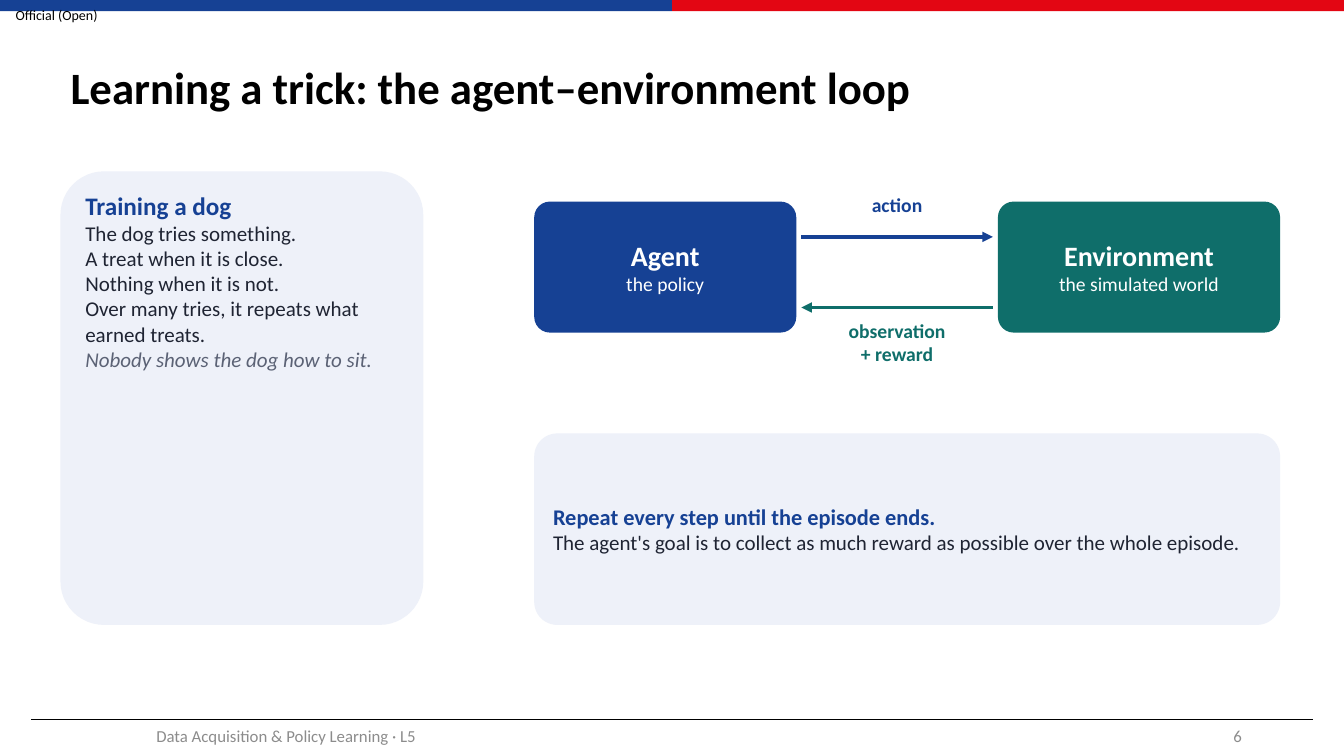
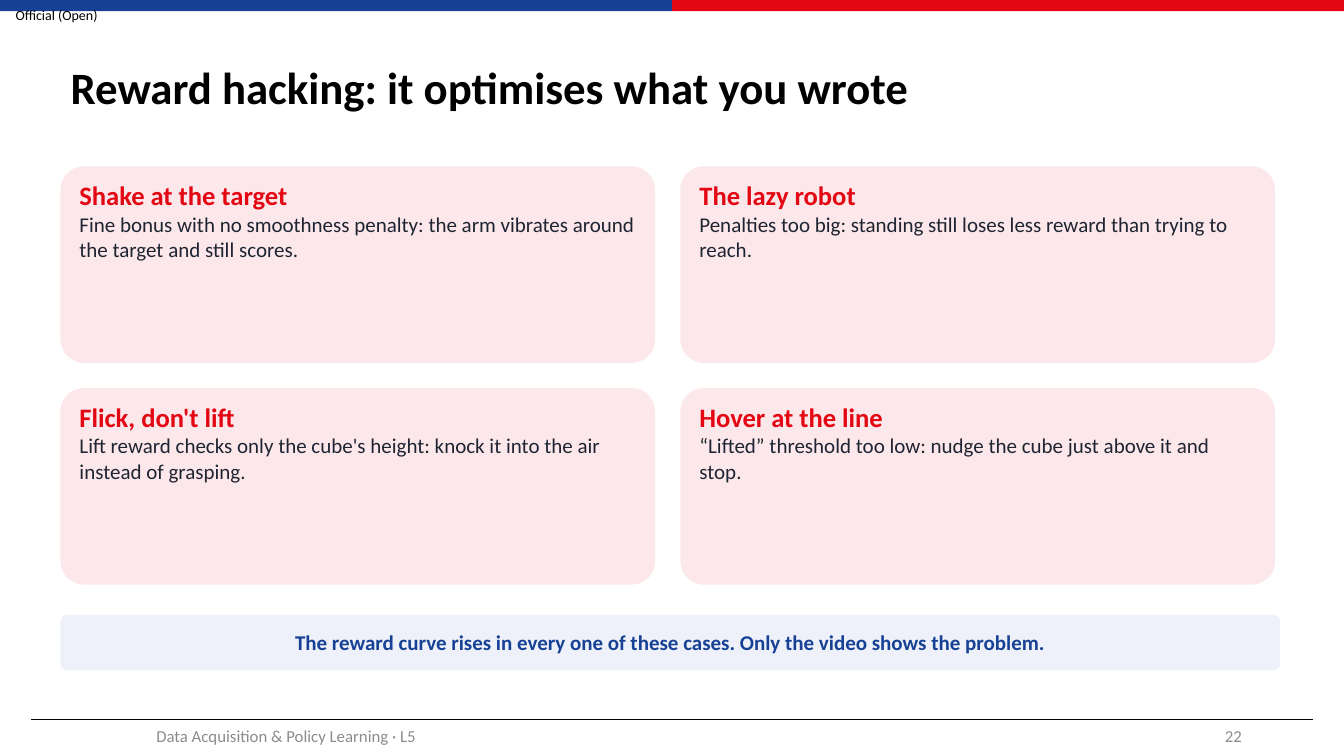
from collections import namedtuple
from itertools import product

from lxml.etree import SubElement
from pptx import Presentation
from pptx.dml.color import RGBColor
from pptx.enum.shapes import MSO_CONNECTOR, MSO_SHAPE
from pptx.enum.text import MSO_ANCHOR, MSO_AUTO_SIZE, PP_ALIGN
from pptx.oxml.ns import qn
from pptx.util import Inches, Pt

COLOURS = {
    "blue": "164194", "red": "E30613", "teal": "0F6E6A",
    "mist": "EEF1F9", "blush": "FCE8EA", "white": "FFFFFF",
    "black": "000000", "ink": "1F2433", "slate": "5B6275", "grey": "8C8C8C",
}
FONT = "Calibri"
COLUMNS, ROWS = 133.33, 75
Line = namedtuple("Line", "text size colour bold italic", defaults=("ink", False, False))


class Deck:
    """Hold the lecture style and the current slide on a grid of tenth-inch cells."""

    def __init__(self):
        self.show = Presentation()
        self.show.slide_width, self.show.slide_height = self.cells(COLUMNS, ROWS)
        self.slide = None

    def cells(self, *counts):
        return [Inches(count / 10) for count in counts]

    def colour(self, name):
        return RGBColor.from_string(COLOURS[name])

    def typeset(self, frame, lines, align=PP_ALIGN.LEFT, anchor=MSO_ANCHOR.TOP, insets=(1.2, 0.6)):
        frame.word_wrap = True
        frame.auto_size = MSO_AUTO_SIZE.NONE
        frame.vertical_anchor = anchor
        frame.margin_left, frame.margin_top = self.cells(*insets)
        frame.margin_right, frame.margin_bottom = self.cells(*insets)
        for index, line in enumerate(lines):
            paragraph = frame.add_paragraph() if index else frame.paragraphs[0]
            paragraph.alignment = align
            run = paragraph.add_run()
            run.text = line.text
            run.font.name = FONT
            run.font.size = Pt(line.size)
            run.font.bold = line.bold
            run.font.italic = line.italic
            run.font.color.rgb = self.colour(line.colour)

    def label(self, area, lines, **style):
        box = self.slide.shapes.add_textbox(*self.cells(*area))
        self.typeset(box.text_frame, lines, **style)

    def block(self, area, fill, preset=MSO_SHAPE.RECTANGLE):
        block = self.slide.shapes.add_shape(preset, *self.cells(*area))
        block.shadow.inherit = False
        block.fill.solid()
        block.fill.fore_color.rgb = self.colour(fill)
        block.line.fill.background()
        return block

    def card(self, area, fill, lines, **style):
        card = self.block(area, fill, MSO_SHAPE.ROUNDED_RECTANGLE)
        card.adjustments[0] = 0.12
        self.typeset(card.text_frame, lines, **style)

    def rule(self, start, end, colour, width, arrow=False):
        rule = self.slide.shapes.add_connector(MSO_CONNECTOR.STRAIGHT, *self.cells(*start, *end))
        rule.line.color.rgb = self.colour(colour)
        rule.line.width = Pt(width)
        properties = rule.element.spPr
        if arrow:
            SubElement(properties.find(qn("a:ln")), qn("a:tailEnd"), type="triangle")
        SubElement(properties, qn("a:effectLst"))

    def start(self, heading, number):
        self.slide = self.show.slides.add_slide(self.show.slide_layouts[5])
        half = COLUMNS / 2
        for left, fill in ((0, "blue"), (half, "red")):
            self.block((left, 0, half, 1.1), fill)
        self.label((1.55, 0, 11.3, 2.9), [Line("Official (Open)", 10, "black")],
                   anchor=MSO_ANCHOR.MIDDLE, insets=(0, 0))
        self.rule((3.1, 71.4), (130.3, 71.4), "black", 0.5)
        self.label((5.9, 71, 45, 4), [Line("Data Acquisition & Policy Learning · L5", 12, "grey")],
                   align=PP_ALIGN.CENTER, anchor=MSO_ANCHOR.MIDDLE, insets=(1, 0.5))
        self.label((94.2, 71, 30, 4), [Line(str(number), 12, "grey")],
                   align=PP_ALIGN.RIGHT, anchor=MSO_ANCHOR.MIDDLE, insets=(1, 0.5))
        title = self.slide.shapes.title
        title.left, title.top, title.width, title.height = self.cells(6, 3, 120.8, 11.8)
        self.typeset(title.text_frame, [Line(heading, 32, "black", True)],
                     anchor=MSO_ANCHOR.MIDDLE, insets=(1, 0.5))
        title.text_frame.paragraphs[0].line_spacing = 0.9


def agent_loop(deck):
    deck.start("Learning a trick: the agent–environment loop", 6)
    tries = ("The dog tries something.", "A treat when it is close.",
             "Nothing when it is not.", "Over many tries, it repeats what earned treats.")
    deck.card((6, 17, 36, 45), "mist", [
        Line("Training a dog", 18, "blue", True),
        *(Line(attempt, 15) for attempt in tries),
        Line("Nobody shows the dog how to sit.", 15, "slate", italic=True),
    ])
    for left, width, fill, name, role in (
        (53, 26, "blue", "Agent", "the policy"),
        (99, 28, "teal", "Environment", "the simulated world"),
    ):
        deck.card((left, 20, width, 13), fill,
                  [Line(name, 20, "white", True), Line(role, 14, "white")],
                  align=PP_ALIGN.CENTER, anchor=MSO_ANCHOR.MIDDLE)
    for start, end, row, colour, area, words in (
        (79.5, 98.5, 23.5, "blue", (79, 18.5, 20, 4.5), ["action"]),
        (98.5, 79.5, 30.5, "teal", (78, 31, 22, 7.5), ["observation", "+ reward"]),
    ):
        deck.rule((start, row), (end, row), colour, 2.5, arrow=True)
        deck.label(area, [Line(word, 14, colour, True) for word in words], align=PP_ALIGN.CENTER)
    deck.card((53, 43, 74, 19), "mist", [
        Line("Repeat every step until the episode ends.", 16, "blue", True),
        Line("The agent's goal is to collect as much reward as possible over the whole episode.", 15),
    ], anchor=MSO_ANCHOR.MIDDLE)


def reward_hacking(deck):
    deck.start("Reward hacking: it optimises what you wrote", 22)
    hacks = (
        ("Shake at the target", "Fine bonus with no smoothness penalty: "
         "the arm vibrates around the target and still scores."),
        ("The lazy robot", "Penalties too big: standing still loses less reward than trying to reach."),
        ("Flick, don't lift", "Lift reward checks only the cube's height: "
         "knock it into the air instead of grasping."),
        ("Hover at the line", "“Lifted” threshold too low: nudge the cube just above it and stop."),
    )
    width, height, gap = 59, 19.5, 2.5
    for (row, column), (hack, cause) in zip(product(range(2), repeat=2), hacks):
        area = (6 + column * (width + gap), 16.5 + row * (height + gap), width, height)
        deck.card(area, "blush", [Line(hack, 19, "red", True), Line(cause, 15)])
    deck.card((6, 61, 121, 5.5), "mist", [
        Line("The reward curve rises in every one of these cases. Only the video shows the problem.",
             15, "blue", True),
    ], align=PP_ALIGN.CENTER, anchor=MSO_ANCHOR.MIDDLE)


def main():
    deck = Deck()
    agent_loop(deck)
    reward_hacking(deck)
    deck.show.save("out.pptx")


if __name__ == "__main__":
    main()
